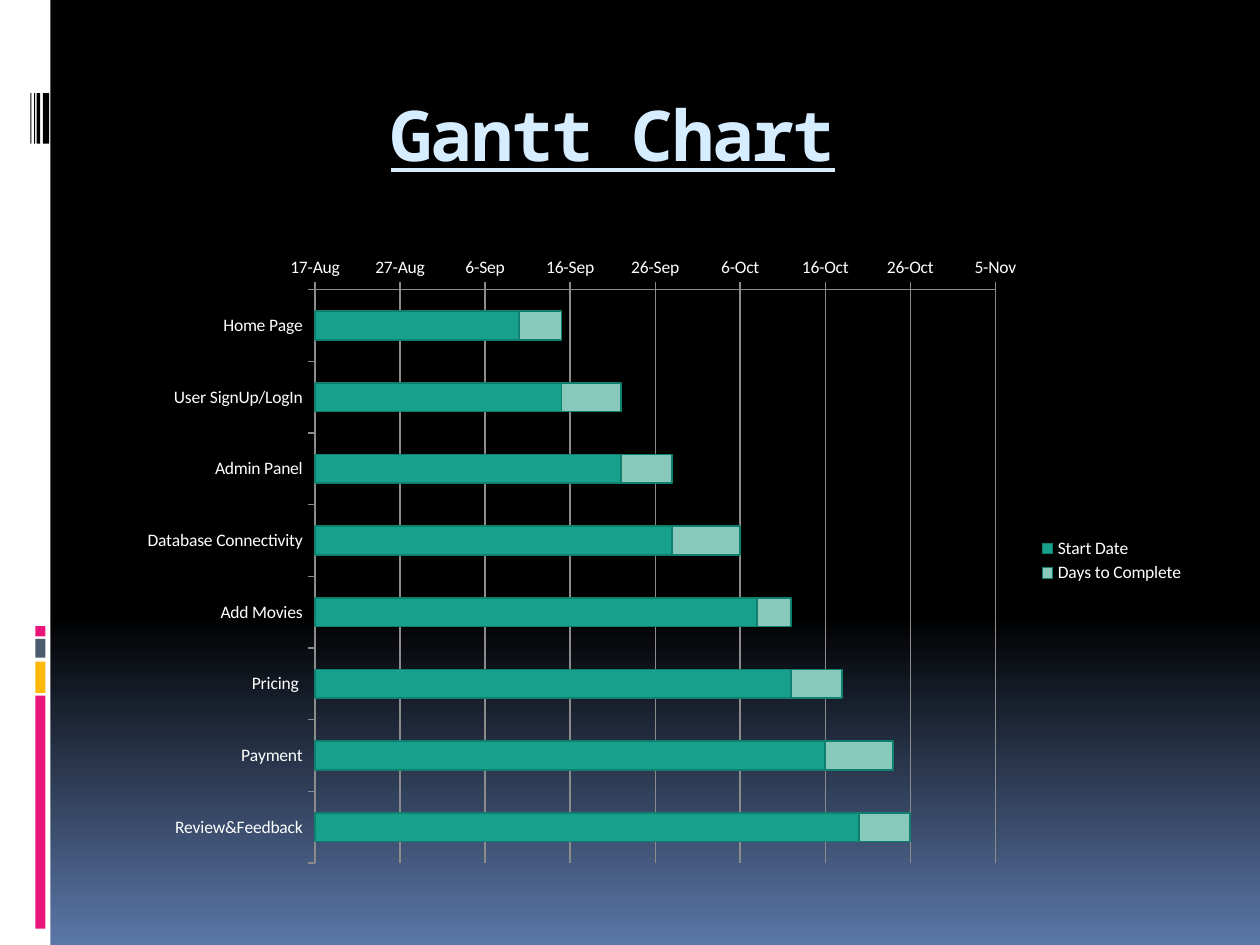
from copy import deepcopy
from lxml import etree
from pptx import Presentation
from pptx import util as u
from pptx.chart import data
from pptx.dml import color
from pptx.enum import chart as ch, shapes, text

theme = {
    "white": "FFFFFF", "black": "000000", "blue": "5B77A8", "pink": "EA157A",
    "gold": "FEB80A", "slate": "4E5B6F", "title": "D6ECFF", "grid": "8B8B8B",
    "start": "17A08C", "days": "88C9BB", "edge": "0F7F70",
    "head": 40, "label": 10, "mono": "Noto Sans Mono", "sans": "Calibri",
}


def rgb(name):
    return color.RGBColor.from_string(theme[name])


def style(item, form):
    for key, val in form.items():
        setattr(item, key, val)


deck = Presentation()
deck.slide_width, deck.slide_height = u.Inches(10), u.Inches(7.5)
slide = deck.slides.add_slide(deck.slide_layouts[5])

fill = slide.background.fill
fill.gradient()
fill.gradient_angle = 270
stops = slide.element.xpath(".//a:gsLst")[0]
stops.insert(1, deepcopy(stops[0]))
for stop, (pos, tone) in zip(fill.gradient_stops, [(0, "black"), (0.65, "black"), (1, "blue")]):
    stop.position = pos
    stop.color.rgb = rgb(tone)

blocks = [(0, 0, 0.4, 7.5, "white")]
blocks += [(0.28, top, 0.08, high, tone) for top, high, tone in [
    (5.52, 1.85, "pink"), (5.25, 0.25, "gold"), (5.07, 0.15, "slate"), (4.97, 0.08, "pink")]]
blocks += [(left, 0.74, wide, 0.4, "black") for left, wide in [
    (0.34, 0.05), (0.29, 0.03), (0.27, 0.01), (0.24, 0.01)]]
for *box, tone in blocks:
    block = slide.shapes.add_shape(shapes.MSO_SHAPE.RECTANGLE, *map(u.Inches, box))
    block.shadow.inherit = False
    block.fill.solid()
    block.fill.fore_color.rgb = rgb(tone)
    block.line.fill.background()

title = slide.shapes.title
style(title, dict(left=u.Inches(1), top=u.Inches(0.56), width=u.Inches(8.5), height=u.Inches(1)))
style(title.text_frame, dict(margin_left=u.Inches(2.1), vertical_anchor=text.MSO_ANCHOR.MIDDLE))
line = title.text_frame.paragraphs[0]
line.alignment = text.PP_ALIGN.LEFT
run = line.add_run()
run.text = "Gantt Chart"
style(run.font, dict(name=theme["mono"], size=u.Pt(theme["head"]), bold=True, underline=True))
run.font.color.rgb = rgb("title")
run.font._element.set("spc", "-100")

first = 44790
tasks = [
    ("Home Page", 24, 5), ("User SignUp/LogIn", 29, 7), ("Admin Panel", 36, 6),
    ("Database Connectivity", 42, 8), ("Add Movies", 52, 4), ("Pricing ", 56, 6),
    ("Payment", 60, 8), ("Review&Feedback", 64, 6),
]
names, starts, days = zip(*tasks)
plan = data.CategoryChartData()
plan.categories = names
plan.add_series("Start Date", [first + start for start in starts])
plan.add_series("Days to Complete", days)
box = map(u.Inches, (1, 1.95, 8.5, 5))
chart = slide.shapes.add_chart(ch.XL_CHART_TYPE.BAR_STACKED, *box, plan).chart
style(chart, dict(has_title=False, has_legend=True))
style(chart.font, dict(name=theme["sans"], size=u.Pt(theme["label"])))
chart.font.color.rgb = rgb("white")
style(chart.legend, dict(position=ch.XL_LEGEND_POSITION.RIGHT, include_in_layout=False))

plot = chart.plots[0]
style(plot, dict(gap_width=150, overlap=100, vary_by_categories=False))
for bar, tone in zip(plot.series, ("start", "days")):
    bar.format.fill.solid()
    bar.format.fill.fore_color.rgb = rgb(tone)
    bar.format.line.color.rgb = rgb("edge")
    bar.format.line.width = u.Pt(1)

cats, dates = chart.category_axis, chart.value_axis
style(cats, dict(reverse_order=True, has_major_gridlines=False))
style(dates, dict(minimum_scale=first, maximum_scale=first + 80, major_unit=10,
                  has_major_gridlines=True))
style(dates.tick_labels, dict(number_format="d\\-mmm", number_format_is_linked=False))
for axis in (cats, dates):
    axis.major_tick_mark = ch.XL_TICK_MARK.OUTSIDE if axis is cats else ch.XL_TICK_MARK.CROSS
    axis.minor_tick_mark = ch.XL_TICK_MARK.NONE
for part in (cats, dates, dates.major_gridlines):
    part.format.line.color.rgb = rgb("grid")
    part.format.line.width = u.Pt(0.75)

area = chart.element.xpath(".//c:plotArea")[0]
for old in area.xpath("./c:layout"):
    area.remove(old)
space = "{http://schemas.openxmlformats.org/drawingml/2006/chart}"
frame = etree.Element(space + "layout")
inner = etree.SubElement(frame, space + "manualLayout")
for tag, val in [("layoutTarget", "inner"), ("xMode", "edge"), ("yMode", "edge"),
                 ("x", 1.5 / 8.5), ("y", 0.35 / 5), ("w", 5.4 / 8.5), ("h", 4.55 / 5)]:
    etree.SubElement(inner, space + tag).set("val", str(val))
area.insert(0, frame)

deck.save("out.pptx")
